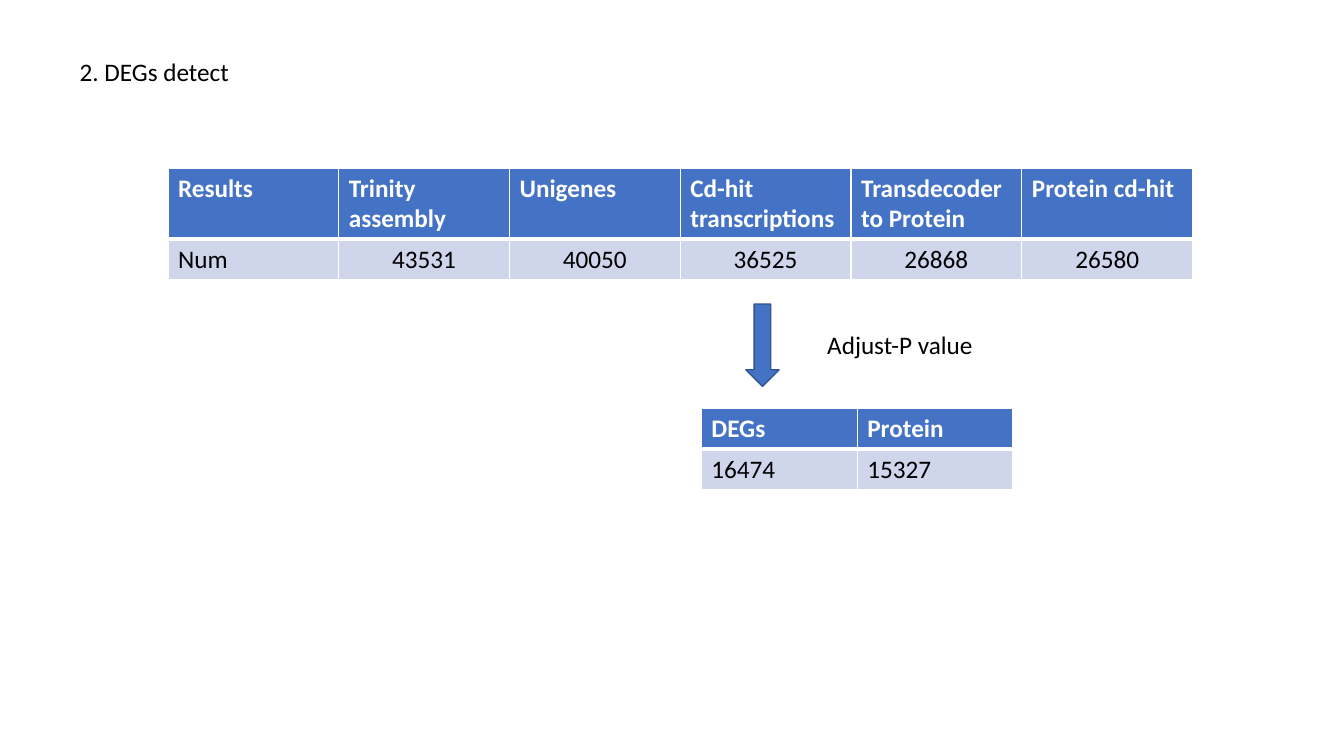
from lxml.etree import SubElement
from pptx import Presentation
from pptx.dml.color import RGBColor
from pptx.enum.shapes import MSO_SHAPE as Shape
from pptx.enum.text import MSO_ANCHOR as Anchor, PP_ALIGN as Align
from pptx.oxml.ns import qn
from pptx.util import Inches, Pt

# The slide is a grid of 160 columns by 90 rows
UNIT = Inches(7.5) / 90
ROW = 4.86
BLUE, DARK_BLUE, PALE = "4472C4", "325491", "CFD5EA"
WHITE, BLACK = "FFFFFF", "000000"


def grid(*units):
    return [round(unit * UNIT) for unit in units]


def color(hex_code):
    return RGBColor.from_string(hex_code)


def write(frame, text, size=18, ink=BLACK, bold=False, align=Align.LEFT):
    frame.word_wrap = True
    paragraph = frame.paragraphs[0]
    paragraph.alignment = align
    run = paragraph.add_run()
    run.text = text
    run.font.name = "Calibri"
    run.font.size = Pt(size)
    run.font.bold = bold
    run.font.color.rgb = color(ink)


def add_label(slide, box, text):
    write(slide.shapes.add_textbox(*grid(*box)).text_frame, text)


def set_borders(cell, **widths):
    properties = cell._tc.get_or_add_tcPr()
    for side in ("L", "R", "T", "B"):
        line = SubElement(properties, qn(f"a:ln{side}"), w=str(Pt(widths.get(side, 1))))
        fill = SubElement(line, qn("a:solidFill"))
        SubElement(fill, qn("a:srgbClr"), val=WHITE)


def add_results(slide, box, rows, header_height=ROW, number_align=Align.LEFT):
    left, top, width, height = grid(*box)
    table = slide.shapes.add_table(len(rows), len(rows[0]), left, top, width, height).table
    for column in table.columns:
        column.width = width // len(rows[0])
    for r, values in enumerate(rows):
        header = r == 0
        table.rows[r].height = grid(header_height if header else ROW)[0]
        for c, value in enumerate(values):
            cell = table.cell(r, c)
            # The heavy rule lies between the header and the numbers
            set_borders(cell, **({"B": 3} if header else {"T": 3}))
            cell.fill.solid()
            cell.fill.fore_color.rgb = color(BLUE if header else PALE)
            cell.vertical_anchor = Anchor.TOP
            write(cell.text_frame, value, ink=WHITE if header else BLACK, bold=header,
                  align=number_align if value.isdigit() else Align.LEFT)


def add_filter_step(slide, box, text):
    left, top, width, height = box
    arrow = slide.shapes.add_shape(Shape.DOWN_ARROW, *grid(left, top, 3.95, height))
    arrow.shadow.inherit = False
    arrow.fill.solid()
    arrow.fill.fore_color.rgb = color(BLUE)
    arrow.line.color.rgb = color(DARK_BLUE)
    arrow.line.width = Pt(1)
    add_label(slide, (left + width - 22, top + 2.4, 22, 4.8), text)


def build_degs_slide(presentation):
    slide = presentation.slides.add_slide(presentation.slide_layouts[6])
    # Heading
    add_label(slide, (8.3, 6.1, 78.5, 4.8), "2. DEGs detect")
    # Assembly counts
    add_results(slide, (20, 20, 122, 13.32), [
        ["Results", "Trinity assembly", "Unigenes", "Cd-hit transcriptions",
         "Transdecoder to Protein", "Protein cd-hit"],
        ["Num", "43531", "40050", "36525", "26868", "26580"],
    ], header_height=8.46, number_align=Align.CENTER)
    # Filter and its outcome
    add_filter_step(slide, (88.8, 36.2, 30.5, 9.8), "Adjust-P value")
    add_results(slide, (83.5, 48.6, 37.1, 2 * ROW),
                [["DEGs", "Protein"], ["16474", "15327"]])


def main():
    presentation = Presentation()
    presentation.slide_width, presentation.slide_height = grid(160, 90)
    build_degs_slide(presentation)
    presentation.save("out.pptx")


if __name__ == "__main__":
    main()
